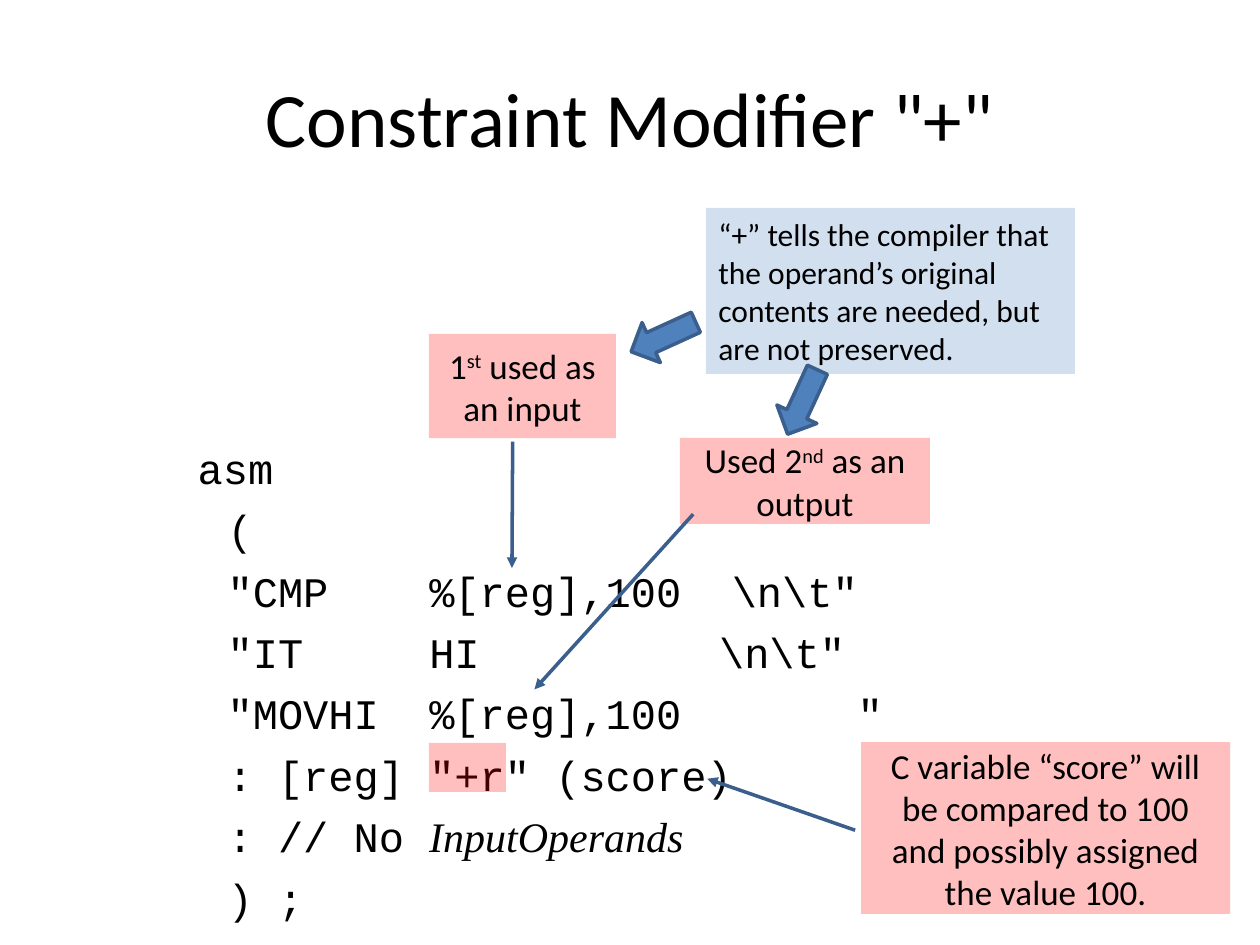
from pptx import Presentation
from pptx.dml.color import RGBColor
from pptx.enum.shapes import MSO_SHAPE as Shape
from pptx.enum.text import MSO_ANCHOR as Anchor, MSO_AUTO_SIZE as AutoSize, PP_ALIGN as Align
from pptx.oxml.ns import qn
from pptx.util import Emu, Pt
from lxml.etree import SubElement

EMU_PER_PIXEL = 914400 // 126
RED, BLUE, OUTLINE, BLACK = "FF0000", "4F81BD", "3A5F8C", "000000"


def px(*lengths):
    return [Emu(round(length * 914400 / 126)) for length in lengths]


def color(hex_string):
    return RGBColor.from_string(hex_string)


presentation = Presentation()
presentation.slide_width, presentation.slide_height = px(1260, 945)
slide = presentation.slides.add_slide(presentation.slide_layouts[1])

title = slide.shapes.title
title.left, title.top, title.width, title.height = px(63, 38, 1134, 158)
title.text_frame.text = 'Constraint Modifier "+"'
title.text_frame.vertical_anchor = Anchor.MIDDLE
title_paragraph = title.text_frame.paragraphs[0]
title_paragraph.alignment = Align.CENTER
title_font = title_paragraph.runs[0].font
title_font.name, title_font.size = "Calibri", Pt(44)
title_font.color.rgb = color(BLACK)

code_lines = [
    "asm",
    "(",
    '"CMP    %[reg],100  \\n\\t"',
    '"IT     HI\t       \\n\\t"',
    '"MOVHI  %[reg],100\t     "',
    ': [reg] "+r" (score)',
    ": // No ",
    ") ;",
]
body = slide.placeholders[1]
body.left, body.top, body.width, body.height = px(185, 436, 940, 498)
code_frame = body.text_frame
code_frame.auto_size = AutoSize.NONE
code_frame.text = "\n".join(code_lines)
for number, paragraph in enumerate(code_frame.paragraphs):
    indented = number > 0
    paragraph.level = 1 if indented and not paragraph.text.startswith('"') else 0
    paragraph.space_before = Pt(6.3 if indented else 0)
    properties = paragraph._p.get_or_add_pPr()
    properties.set("marL", str(px(30)[0] if indented else 0))
    properties.set("indent", "0")
    SubElement(properties, qn("a:buNone"))
    if paragraph.text.startswith(": //"):
        paragraph.add_run().text = "InputOperands"
    for run in paragraph.runs:
        operand_name = run.text == "InputOperands"
        run.font.name = "Times New Roman" if operand_name else "Courier New"
        run.font.italic = operand_name
        run.font.size = Pt(24)
        run.font.color.rgb = color(BLACK)

CALLOUT = Shape.LINE_CALLOUT_1_NO_BORDER
annotations = [
    (CALLOUT, (429, 334, 187, 104), RED, (1.034, 0.448, 2.249, 0.444),
     ["1", "st", " used as an input"], 20),
    (CALLOUT, (680, 438, 250, 86), RED, (0.886, 0.053, 2.923, -0.582),
     ["Used 2", "nd", " as an output"], 20),
    (Shape.RECTANGLE, (429, 743, 77, 49), RED, (), [], 20),
    (Shape.RECTANGLE, (706, 208, 369, 166), BLUE, (),
     ["“+” tells the compiler that the operand’s original contents are needed, "
      "but are not preserved."], 18),
    (CALLOUT, (861, 742, 369, 172), RED, (0.513, -0.016, 0.214, -0.417),
     ["C variable “score” will be compared to 100 and possibly assigned the value 100."], 20),
]
for kind, box, fill, adjustments, texts, size in annotations:
    shape = slide.shapes.add_shape(kind, *px(*box))
    shape.shadow.inherit = False
    shape.fill.solid()
    shape.fill.fore_color.rgb = color(fill)
    fill_color = shape._element.spPr.find(".//" + qn("a:srgbClr"))
    SubElement(fill_color, qn("a:alpha")).set("val", "25000")
    if kind == CALLOUT:
        for index, value in enumerate(adjustments):
            shape.adjustments[index] = value
        shape.line.color.rgb = color(OUTLINE)
        shape.line.width = Pt(2)
        SubElement(shape.line._get_or_add_ln(), qn("a:tailEnd")).set("type", "triangle")
    else:
        shape.line.fill.background()
    shape.text_frame.word_wrap = True
    shape.text_frame.vertical_anchor = Anchor.MIDDLE
    paragraph = shape.text_frame.paragraphs[0]
    paragraph.alignment = Align.CENTER if kind == CALLOUT else Align.LEFT
    for text in texts:
        run = paragraph.add_run()
        run.text = text
        run.font.name, run.font.size = "Calibri", Pt(size)
        run.font.color.rgb = color(BLACK)
        if text in ("st", "nd"):
            run._r.get_or_add_rPr().set("baseline", "30000")

for left, top, rotation in [(767, 380, 114.8), (628, 315, 155.5)]:
    arrow = slide.shapes.add_shape(Shape.RIGHT_ARROW, *px(left, top, 71, 44))
    arrow.rotation = rotation
    arrow.shadow.inherit = False
    arrow.fill.solid()
    arrow.fill.fore_color.rgb = color(BLUE)
    arrow.line.color.rgb = color(OUTLINE)
    arrow.line.width = Pt(2)

presentation.save("out.pptx")
